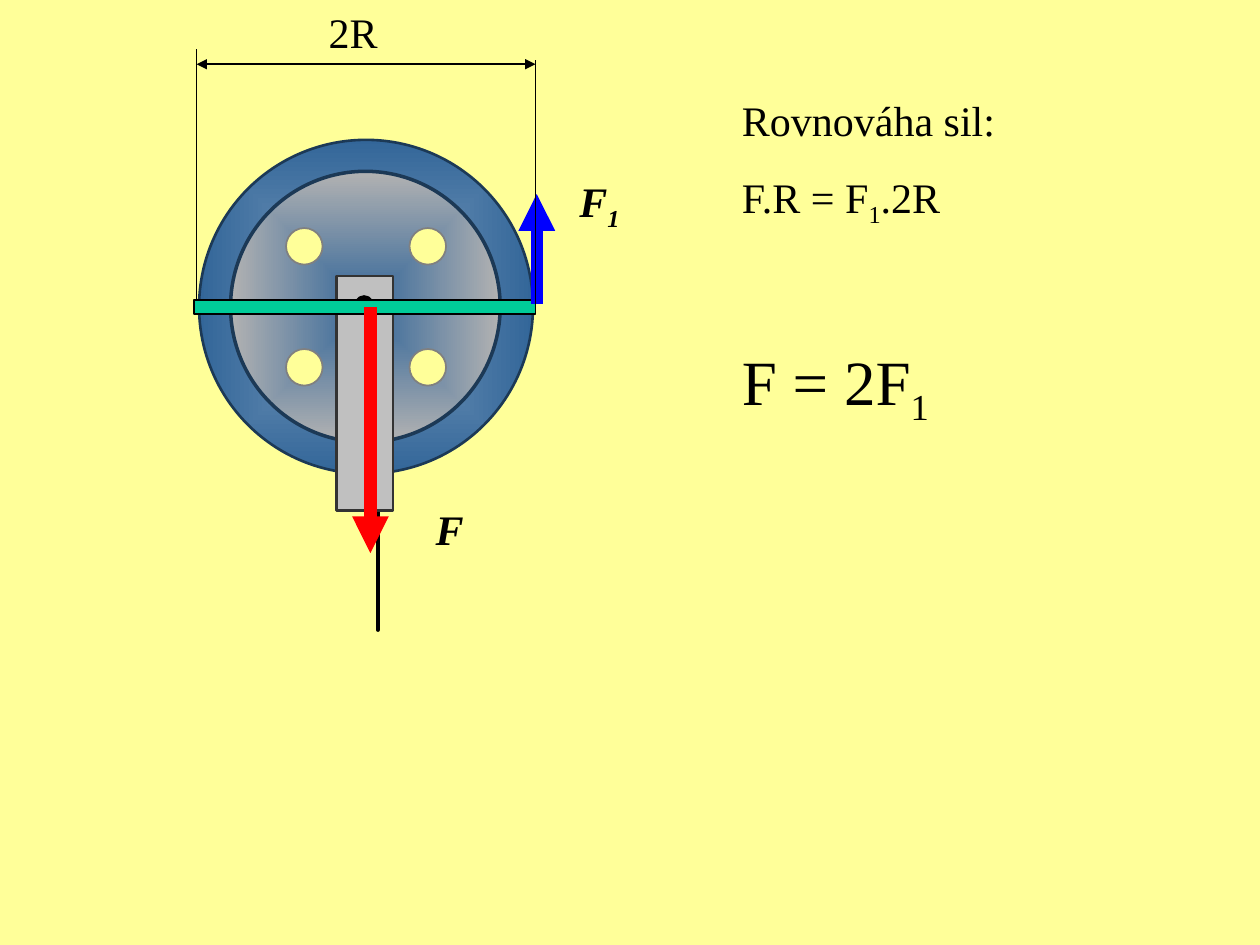
import pptx
import pptx.dml.color
import pptx.enum.shapes
import pptx.oxml
import pptx.oxml.ns
import pptx.util

Inches = pptx.util.Inches
Pt = pptx.util.Pt
SHAPE = pptx.enum.shapes.MSO_SHAPE

COLORS = {
    "background": "FFFF99", "black": "000000", "rim": "7C9CBD", "steel": "336699",
    "disc": "B2B2B2", "wheel_edge": "1C3956", "hole_edge": "808080",
    "hanger": "C0C0C0", "hanger_edge": "333333", "lever": "00CC99",
    "load": "FF0000", "pull": "0000FF",
}

# Hook: a straight shank, then cubic curves of (control, control, end)
HOOK_START = (2.91, 3.85)
HOOK_SHANK = (2.91, 4.22)
HOOK_CURVES = [
    ((2.89, 4.3), (2.81, 4.29), (2.78, 4.34)),
    ((2.72, 4.41), (2.74, 4.48), (2.76, 4.52)),
    ((2.78, 4.57), (2.86, 4.59), (2.9, 4.6)),
    ((2.95, 4.6), (3.01, 4.6), (3.05, 4.54)),
    ((3.09, 4.48), (3.08, 4.45), (3.09, 4.42)),
]
CURVE_STEPS = 10

# kind, (left, top, width, height), fill or (centre, edge) gradient, line, width
HOLE = 0.29
PULLEY = [
    (SHAPE.OVAL, (1.58, 1.11, 2.65, 2.65), ("rim", "steel"), "wheel_edge", 1.5),
    (SHAPE.OVAL, (1.83, 1.36, 2.14, 2.15), ("steel", "disc"), "wheel_edge", 2),
    *[(SHAPE.OVAL, (left, top, HOLE, HOLE), "background", "hole_edge", 1)
      for top in (1.81, 2.77) for left in (2.27, 3.25)],
    (SHAPE.RECTANGLE, (2.67, 2.19, 0.45, 1.86), "hanger", "hanger_edge", 1.5),
    (SHAPE.OVAL, (2.82, 2.35, 0.14, 0.14), "black", "black", 1),
]
LEVER = (SHAPE.RECTANGLE, (1.54, 2.38, 2.71, 0.11), "lever", "black", 1)

# start, end, colour, width, arrowheads
LEFT_EDGE, RIGHT_EDGE = 1.56, 4.25
LINES = [
    ((2.94, 2.44), (2.94, 4.39), "load", 7, ["tailEnd"]),
    ((4.26, 2.41), (4.26, 1.54), "pull", 7, ["tailEnd"]),
    ((LEFT_EDGE, 2.38), (LEFT_EDGE, 0.39), "black", 1, []),
    ((RIGHT_EDGE, 2.46), (RIGHT_EDGE, 0.48), "black", 1, []),
    ((LEFT_EDGE, 0.51), (RIGHT_EDGE, 0.51), "black", 1, ["headEnd", "tailEnd"]),
]

# box, then paragraphs of (space before, size, runs); "_" starts a subscript run
FORCE = {"bold": True, "italic": True}
TEXTS = [
    ((3.36, 3.95, 1, 0.5), FORCE, [(0, 24, ["F"])]),
    ((4.5, 1.34, 1, 0.56), FORCE, [(0, 24, ["F", "_1"])]),
    ((2.51, 0, 0.95, 0.5), {}, [(0, 24, ["2R"])]),
    ((5.79, 0.7, 3.89, 2.77), {}, [
        (0, 24, ["Rovnováha sil:"]),
        (15, 24, ["F.R = F", "_1", ".2R"]),
        (65, 36, ["F = 2F", "_1"]),
    ]),
]
FIRST_LINE_DROP = 15  # points that set the first line below the box top


def rgb(name):
    return pptx.dml.color.RGBColor.from_string(COLORS[name])


def set_line(line, color, width):
    line.color.rgb = rgb(color)
    line.width = Pt(width)


def fill_from_centre(fill, colors):
    """Gradient that spreads in a rectangle from the centre to the edge."""
    fill.gradient()
    for stop, color in zip(fill.gradient_stops, colors):
        stop.color.rgb = rgb(color)
    linear = fill._fill._gradFill.find(pptx.oxml.ns.qn("a:lin"))
    linear.getparent().replace(linear, pptx.oxml.parse_xml(
        f'<a:path {pptx.oxml.ns.nsdecls("a")} path="rect">'
        '<a:fillToRect l="50000" t="50000" r="50000" b="50000"/></a:path>'))


def add_part(shapes, kind, box, fill, line, width):
    part = shapes.add_shape(kind, *map(Inches, box))
    part.shadow.inherit = False
    if isinstance(fill, tuple):
        fill_from_centre(part.fill, fill)
    else:
        part.fill.solid()
        part.fill.fore_color.rgb = rgb(fill)
    set_line(part.line, line, width)


def add_hook(shapes):
    points, start = [HOOK_SHANK], HOOK_SHANK
    for c1, c2, end in HOOK_CURVES:
        for step in range(1, CURVE_STEPS + 1):
            t = step / CURVE_STEPS
            u = 1 - t
            points.append(tuple(
                u**3 * a + 3 * u * u * t * b + 3 * u * t * t * c + t**3 * d
                for a, b, c, d in zip(start, c1, c2, end)))
        start = end
    builder = shapes.build_freeform(*HOOK_START, scale=Inches(1))
    builder.add_line_segments(points, close=False)
    hook = builder.convert_to_shape()
    hook.shadow.inherit = False
    hook.fill.background()
    set_line(hook.line, "black", 2.25)


def add_line(shapes, start, end, color, width, heads):
    line = shapes.add_connector(pptx.enum.shapes.MSO_CONNECTOR.STRAIGHT,
                                *map(Inches, start + end))
    set_line(line.line, color, width)
    for head in heads:
        line.line._get_or_add_ln().append(pptx.oxml.parse_xml(
            f'<a:{head} {pptx.oxml.ns.nsdecls("a")} type="triangle"/>'))
    line._element.spPr.append(pptx.oxml.parse_xml(
        f'<a:effectLst {pptx.oxml.ns.nsdecls("a")}/>'))


def add_text(shapes, box, style, paragraphs):
    frame = shapes.add_textbox(*map(Inches, box)).text_frame
    frame.word_wrap = True
    for index, (space, size, runs) in enumerate(paragraphs):
        paragraph = frame.add_paragraph() if index else frame.paragraphs[0]
        paragraph.space_before = Pt(space)
        for text in runs:
            run = paragraph.add_run()
            run.text = text.lstrip("_")
            run.font.color.rgb = rgb("black")
            values = {"name": "Times New Roman", "size": Pt(size), **style}
            for key, value in values.items():
                setattr(run.font, key, value)
            if text.startswith("_"):
                run._r.get_or_add_rPr().set("baseline", "-25000")


def main():
    deck = pptx.Presentation()
    deck.slide_width, deck.slide_height = Inches(10), Inches(7.5)
    slide = deck.slides.add_slide(deck.slide_layouts[6])
    slide.background.fill.solid()
    slide.background.fill.fore_color.rgb = rgb("background")

    pulley = slide.shapes.add_group_shape()
    add_hook(pulley.shapes)
    for part in PULLEY:
        add_part(pulley.shapes, *part)
    add_part(slide.shapes, *LEVER)
    for line in LINES:
        add_line(slide.shapes, *line)
    for text in TEXTS:
        add_text(slide.shapes, *text)
    deck.save("out.pptx")


if __name__ == "__main__":
    main()
